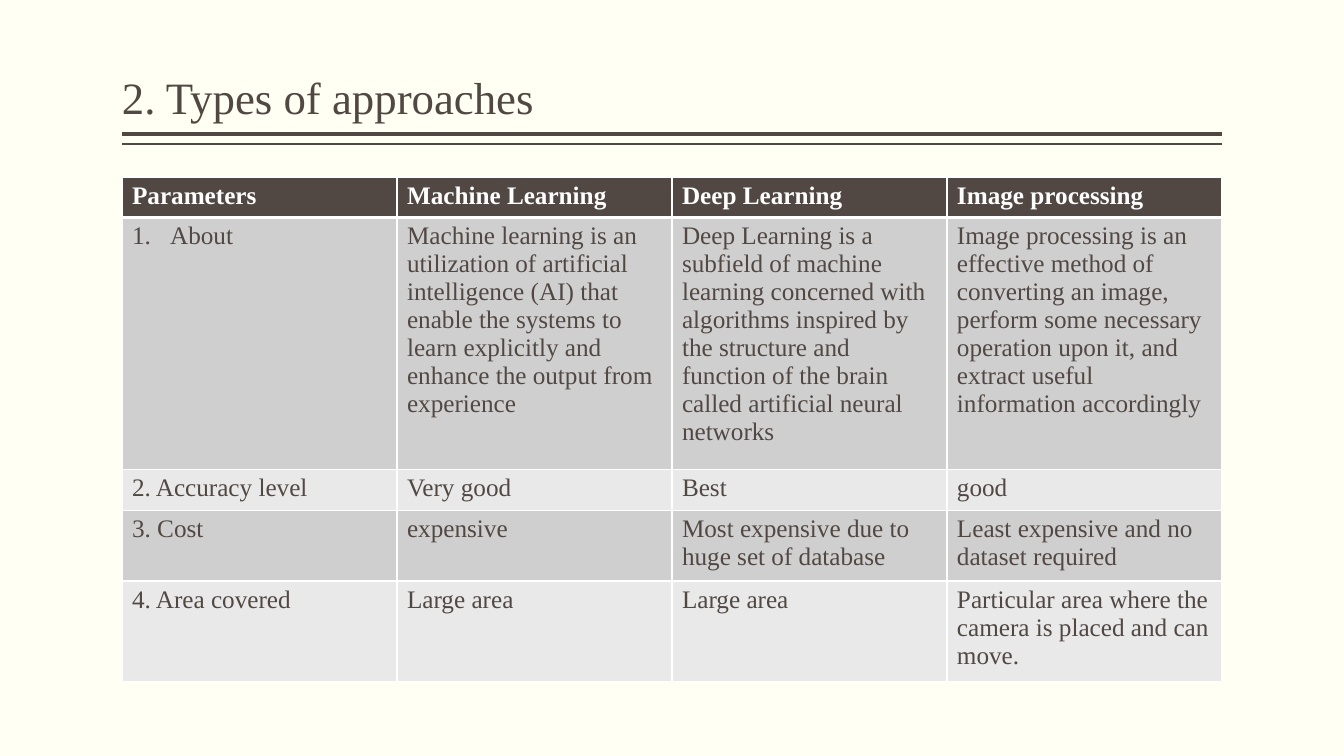
import dataclasses

import lxml.etree
import pptx
import pptx.dml.color
import pptx.enum.shapes
import pptx.enum.text
import pptx.oxml.ns
import pptx.util

EMU_PER_PX = 914400 / 100.8
FONT = "Times New Roman"
BROWN = "514843"
WHITE = "FFFFFF"
LEFT, WIDTH = 122, 1100
HEADER = ["Parameters", "Machine Learning", "Deep Learning", "Image processing"]


@dataclasses.dataclass
class Rule:
    y: int
    weight: int


@dataclasses.dataclass
class Row:
    height: int
    fill: str
    texts: list[str]


RULES = [Rule(134, 3), Rule(144, 1)]
ROWS = [
    Row(40, BROWN, HEADER),
    Row(234, "D0CFCF", [
        "About",
        "Machine learning is an utilization of artificial intelligence (AI) that "
        "enable the systems to learn explicitly and enhance the output from experience",
        "Deep Learning is a subfield of machine learning concerned with algorithms "
        "inspired by the structure and function of the brain called artificial "
        "neural networks",
        "Image processing is an effective method of converting an image, perform some "
        "necessary operation upon it, and extract useful information accordingly",
    ]),
    Row(41, "E9E9E9", ["2. Accuracy level", "Very good", "Best", "good"]),
    Row(66, "D0CFCF", [
        "3. Cost",
        "expensive",
        "Most expensive due to huge set of database",
        "Least expensive and no dataset required",
    ]),
    Row(94, "E9E9E9", [
        "4. Area covered",
        "Large area",
        "Large area",
        "Particular area where the camera is placed and can move.",
    ]),
]


def px(n: int) -> pptx.util.Emu:
    return pptx.util.Emu(round(n * EMU_PER_PX))


def rgb(color: str) -> pptx.dml.color.RGBColor:
    return pptx.dml.color.RGBColor.from_string(color)


def add_child(parent, tag: str, **attrs: str):
    return lxml.etree.SubElement(parent, pptx.oxml.ns.qn(tag), **attrs)


def format_text(tf, size: int, color: str, bold: bool = False) -> None:
    for p in tf.paragraphs:
        for r in p.runs:
            r.font.name = FONT
            r.font.size = pptx.util.Pt(size)
            r.font.bold = bold
            r.font.color.rgb = rgb(color)


def add_title(s, text: str) -> None:
    sp = s.shapes.add_textbox(px(LEFT), px(8), px(WIDTH), px(121))
    tf = sp.text_frame
    tf.word_wrap = True
    tf.margin_left = tf.margin_right = 0
    tf.vertical_anchor = pptx.enum.text.MSO_ANCHOR.BOTTOM
    tf.text = text
    tf.paragraphs[0].line_spacing = 0.9
    format_text(tf, 32, BROWN)


def add_rule(s, rule: Rule) -> None:
    line = s.shapes.add_connector(
        pptx.enum.shapes.MSO_CONNECTOR.STRAIGHT,
        px(LEFT + WIDTH), px(rule.y), px(LEFT), px(rule.y),
    )
    line.line.color.rgb = rgb(BROWN)
    line.line.width = pptx.util.Pt(rule.weight)
    add_child(line._element.spPr, "a:effectLst")


def set_borders(cell, top: int, bottom: int) -> None:
    tcPr = cell._tc.get_or_add_tcPr()
    for side, weight in {"L": 1, "R": 1, "T": top, "B": bottom}.items():
        ln = add_child(tcPr, f"a:ln{side}", w=str(pptx.util.Pt(weight)))
        add_child(add_child(ln, "a:solidFill"), "a:srgbClr", val=WHITE)


def number_paragraph(p, indent: int) -> None:
    pPr = p._p.get_or_add_pPr()
    pPr.set("marL", str(px(indent)))
    pPr.set("indent", str(-px(indent)))
    add_child(pPr, "a:buFont", typeface="+mj-lt")
    add_child(pPr, "a:buAutoNum", type="arabicPeriod")


def add_comparison(s, rows: list[Row]) -> None:
    table = s.shapes.add_table(
        len(rows), len(HEADER), px(LEFT), px(177), px(WIDTH),
        px(sum(row.height for row in rows)),
    ).table
    for column in table.columns:
        column.width = px(WIDTH // len(HEADER))
    for i, row in enumerate(rows):
        table.rows[i].height = px(row.height)
        for cell, text in zip(table.rows[i].cells, row.texts):
            set_borders(cell, 3 if i == 1 else 1, 3 if i == 0 else 1)
            cell.fill.solid()
            cell.fill.fore_color.rgb = rgb(row.fill)
            cell.text_frame.text = text
            format_text(cell.text_frame, 18, WHITE if i == 0 else BROWN, i == 0)
    number_paragraph(table.cell(1, 0).text_frame.paragraphs[0], 38)


def main() -> None:
    prs = pptx.Presentation()
    prs.slide_width, prs.slide_height = px(1344), px(756)
    s = prs.slides.add_slide(prs.slide_layouts[6])
    s.background.fill.solid()
    s.background.fill.fore_color.rgb = rgb("FFFFF3")
    for rule in RULES:
        add_rule(s, rule)
    add_title(s, "2. Types of approaches")
    add_comparison(s, ROWS)
    prs.save("out.pptx")


if __name__ == "__main__":
    main()
